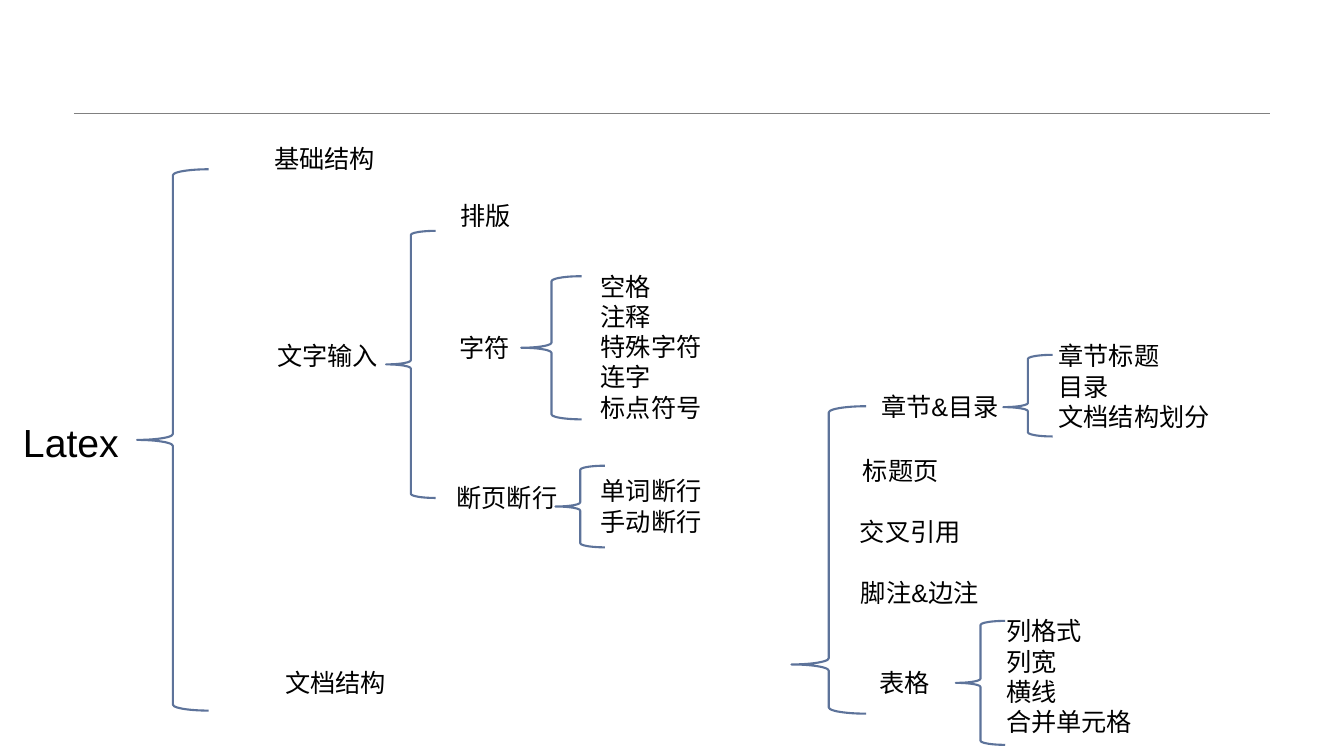
from pptx import Presentation
from pptx.dml.color import RGBColor
from pptx.enum.shapes import MSO_CONNECTOR, MSO_SHAPE
from pptx.enum.text import MSO_ANCHOR, MSO_AUTO_SIZE
from pptx.oxml.ns import qn
from pptx.util import Inches, Pt
from lxml import etree

LINE = MSO_CONNECTOR.STRAIGHT
BRACE = MSO_SHAPE.LEFT_BRACE
FRAME = {"auto_size": MSO_AUTO_SIZE.SHAPE_TO_FIT_TEXT, "vertical_anchor": MSO_ANCHOR.TOP}
WIDE, HIGH = 13.33, 7.5
ROW, PAD = 0.3, 0.1  # height of a text row, space above and below


def color(text):
    return RGBColor.from_string(text)


def label(slide, box, x, y, wide, *rows, size=18, wrap=False):
    """Place rows of text at x, y from the corner of the box."""
    high = len(rows) * ROW * size / 18 + PAD
    shape = slide.shapes.add_textbox(
        Inches(box[0] + x), Inches(box[1] + y), Inches(wide), Inches(high))
    frame = shape.text_frame
    for name, value in {**FRAME, "word_wrap": wrap}.items():
        setattr(frame, name, value)
    frame.text = "\n".join(rows)
    look = {"size": Pt(size), "name": "Arial"}
    for para in frame.paragraphs:
        font = para.runs[0].font
        for name, value in look.items():
            setattr(font, name, value)
        font.color.rgb = color("000000")


def brace(slide, box, x, y, wide, high, tip=0.5):
    """Draw a left brace whose point sits at the share tip of its height."""
    shape = slide.shapes.add_shape(
        BRACE, Inches(box[0] + x), Inches(box[1] + y), Inches(wide), Inches(high))
    shape.shadow.inherit = False
    shape.fill.background()
    shape.line.color.rgb = color("5D739A")
    shape.line.width = Pt(1.5)
    shape.adjustments[0] = 0.083
    shape.adjustments[1] = tip


def rule(slide):
    y = Inches(0.15 * HIGH)
    line = slide.shapes.add_connector(
        LINE, Inches(0.055 * WIDE), y, Inches(0.945 * WIDE), y)
    line.line.color.rgb = color("808080")
    line.line.width = Pt(0.25)
    etree.SubElement(line._element.spPr, qn("a:effectLst"))


def root(slide, box):
    label(slide, box, 0, 2.73, 1.27, "Latex", size=28)
    brace(slide, box, 1.23, 0.31, 0.71, 5.37)
    label(slide, box, 2.49, 0, 1.21, "基础结构")
    label(slide, box, 2.52, 1.96, 1.21, "文字输入")
    label(slide, box, 2.6, 5.2, 1.21, "文档结构")


def typing_part(slide, box):
    """Branch on text input."""
    brace(slide, box, 0, 0.35, 0.49, 2.65)
    label(slide, box, 0.64, 0, 0.71, "排版")
    label(slide, box, 0.63, 1.31, 0.71, "字符")
    brace(slide, box, 1.34, 0.8, 0.6, 1.42)
    label(slide, box, 2.03, 0.7, 1.21, "空格", "注释", "特殊字符", "连字", "标点符号")
    label(slide, box, 0.6, 2.8, 1.21, "断页断行")
    brace(slide, box, 1.68, 2.68, 0.49, 0.81)
    label(slide, box, 2.03, 2.73, 1.21, "单词断行", "手动断行")


def layout_part(slide, box):
    """Branch on document structure."""
    brace(slide, box, 0, 0.7, 0.74, 3.05, 0.84)
    label(slide, box, 0.79, 0.5, 1.38, "章节&目录", wrap=True)
    label(slide, box, 0.61, 1.14, 0.97, "标题页")
    label(slide, box, 0.58, 1.74, 1.21, "交叉引用")
    label(slide, box, 0.59, 2.35, 1.38, "脚注&边注", wrap=True)
    label(slide, box, 0.77, 3.24, 0.71, "表格")
    brace(slide, box, 2.1, 0.19, 0.49, 0.81, 0.641)
    label(slide, box, 2.55, 0, 1.72, "章节标题", "目录", "文档结构划分")
    brace(slide, box, 1.63, 2.83, 0.49, 1.23)
    label(slide, box, 2.03, 2.73, 1.46, "列格式", "列宽", "横线", "合并单元格")


def main():
    deck = Presentation()
    deck.slide_width, deck.slide_height = Inches(WIDE), Inches(HIGH)
    slide = deck.slides.add_slide(deck.slide_layouts[6])
    rule(slide)
    root(slide, (0.13, 1.37))
    typing_part(slide, (3.83, 1.94))
    layout_part(slide, (7.85, 3.33))
    deck.save("out.pptx")


if __name__ == "__main__":
    main()
